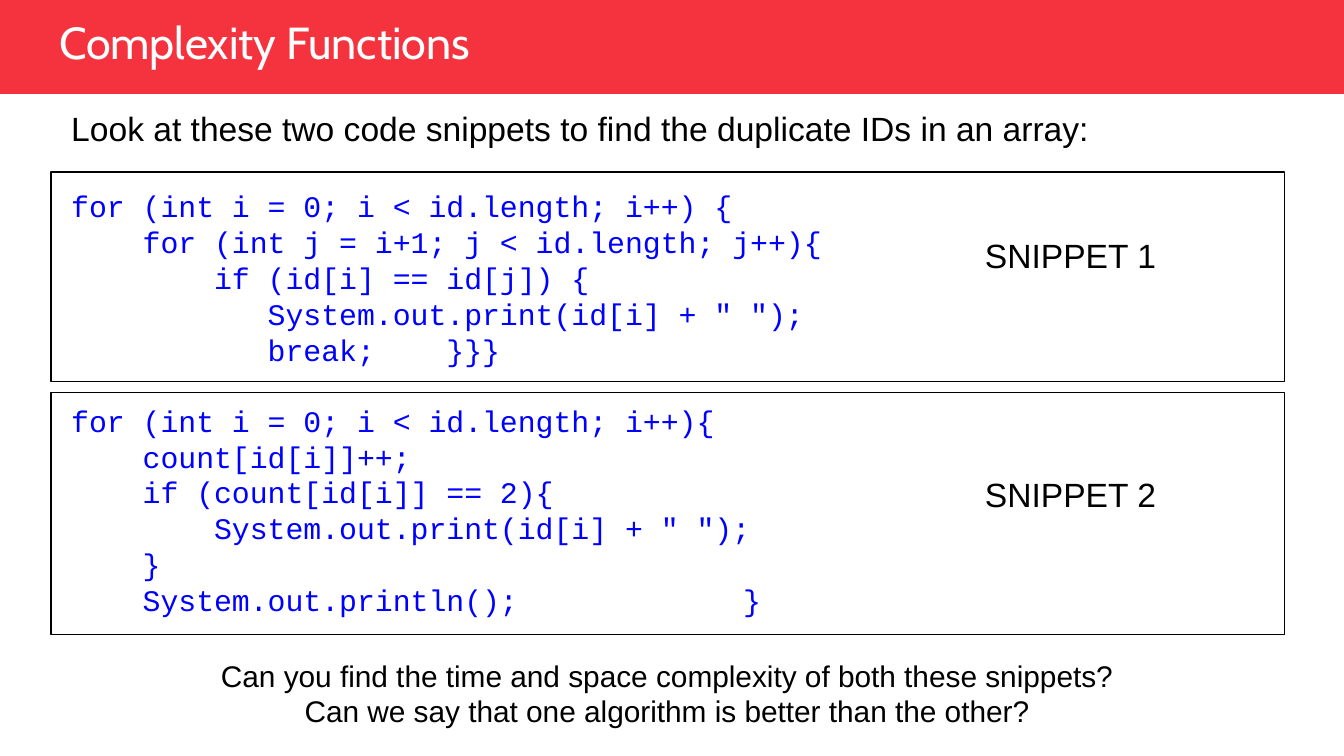
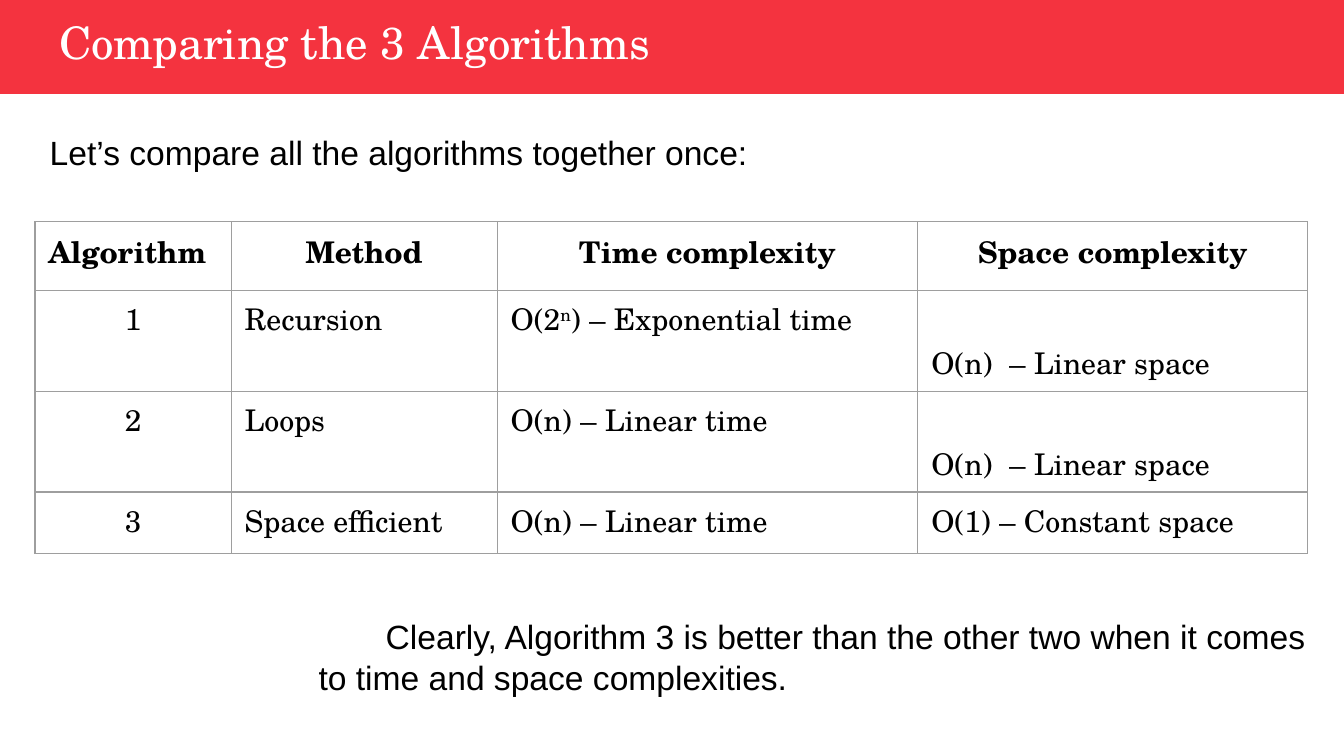
from dataclasses import dataclass
from typing import NamedTuple

from lxml import etree
from pptx import Presentation
from pptx.dml.color import RGBColor
from pptx.enum.shapes import MSO_SHAPE
from pptx.enum.text import MSO_ANCHOR, MSO_AUTO_SIZE, PP_ALIGN
from pptx.oxml.ns import qn
from pptx.util import Inches, Pt

RECT = MSO_SHAPE.RECTANGLE
TOP = MSO_ANCHOR.TOP
LEFT, CENTER, JUSTIFY = PP_ALIGN.LEFT, PP_ALIGN.CENTER, PP_ALIGN.JUSTIFY
NO_AUTOFIT = MSO_AUTO_SIZE.NONE


@dataclass(frozen=True)
class Theme:
    band: RGBColor = RGBColor(0xF4, 0x33, 0x3F)
    white: RGBColor = RGBColor(0xFF, 0xFF, 0xFF)
    black: RGBColor = RGBColor(0, 0, 0)
    code: RGBColor = RGBColor(0, 0, 0xFF)
    border: str = "9E9E9E"
    sans: str = "Arial"
    mono: str = "Courier New"
    serif: str = "TeX Gyre Schola"
    title_font: str = "Cabin"
    title_size: int = 24
    lead_size: int = 18
    body_size: int = 16
    rule: float = 0.75


THEME = Theme()


class Box(NamedTuple):
    left: float
    top: float
    width: float
    height: float

    def lengths(self) -> list:
        return [Inches(v) for v in self]


class Insets(NamedTuple):
    left: float = 0.1
    top: float = 0.1
    right: float = 0.1
    bottom: float = 0.1


class Style(NamedTuple):
    font: str
    size: int
    color: RGBColor
    bold: bool = False


class Line(NamedTuple):
    text: str
    style: Style
    before: float = 0
    align: PP_ALIGN = LEFT
    margin: float = 0
    indent: float = 0


class Snippet(NamedTuple):
    label: str
    frame: Box
    label_top: float
    before: float
    code: str


LEAD = Style(THEME.sans, THEME.lead_size, THEME.black)
CODE = Style(THEME.mono, THEME.body_size, THEME.code)
NOTE = Style(THEME.sans, THEME.body_size, THEME.black)
CELL = Style(THEME.serif, THEME.body_size, THEME.black)
HEADER = CELL._replace(bold=True)

SNIPPETS = [
    Snippet("SNIPPET 1", Box(0.38, 1.28, 9.18, 1.56), 1.65, 21.5, """\
for (int i = 0; i < id.length; i++) {
    for (int j = i+1; j < id.length; j++){
        if (id[i] == id[j]) {
           System.out.print(id[i] + " ");
           break;    }}}"""),
    Snippet("SNIPPET 2", Box(0.38, 2.92, 9.18, 1.8), 3.43, 19, """\
for (int i = 0; i < id.length; i++){
    count[id[i]]++;
    if (count[id[i]] == 2){
        System.out.print(id[i] + " ");
    }
    System.out.println();\t\t}"""),
]

COLUMNS = [1.46, 1.98, 3.13, 2.9]
ROWS = [0.51, 0.71, 0.71, 0.46]
# A caret starts and ends a superscript
ALGORITHMS = [
    ["Algorithm", "Method", "Time complexity", "Space complexity"],
    ["1", "Recursion", "O(2^n^) – Exponential time", "O(n)  – Linear space"],
    ["2", "Loops", "O(n) – Linear time", "O(n)  – Linear space"],
    ["3", "Space efficient", "O(n) – Linear time", "O(1) – Constant space"],
]


def style_runs(p, style: Style) -> None:
    for r in p.runs:
        r.font.name, r.font.size = style.font, Pt(style.size)
        r.font.bold, r.font.color.rgb = style.bold, style.color


def set_insets(target, insets: Insets) -> None:
    """Set the margins of a text frame or a table cell."""
    target.margin_left, target.margin_top = Inches(insets.left), Inches(insets.top)
    target.margin_right, target.margin_bottom = Inches(insets.right), Inches(insets.bottom)


def write_lines(tf, lines: list[Line], insets: Insets = Insets()) -> None:
    tf.word_wrap, tf.auto_size, tf.vertical_anchor = True, NO_AUTOFIT, TOP
    set_insets(tf, insets)
    tf.text = "\n".join(line.text for line in lines)
    for p, line in zip(tf.paragraphs, lines):
        p.alignment, p.space_before = line.align, Pt(line.before)
        pPr = p._p.get_or_add_pPr()
        pPr.set("marL", str(Inches(line.margin)))
        pPr.set("indent", str(Inches(line.indent)))
        pPr.set("defTabSz", str(Inches(1)))
        etree.SubElement(pPr, qn("a:buNone"))
        style_runs(p, line.style)


def place(sp, box: Box) -> None:
    sp.left, sp.top, sp.width, sp.height = box.lengths()


def add_rect(s, box: Box):
    sp = s.shapes.add_shape(RECT, *box.lengths())
    sp.shadow.inherit = False
    return sp


def add_text(s, box: Box, lines: list[Line]) -> None:
    write_lines(s.shapes.add_textbox(*box.lengths()).text_frame, lines)


def add_slide(prs, title: str, font: str, body_box: Box, body: list[Line]):
    """Slide with the red band, its title and the main text."""
    s = prs.slides.add_slide(prs.slide_layouts[1])
    place(s.placeholders[1], body_box)
    write_lines(s.placeholders[1].text_frame, body)
    band = add_rect(s, Box(0, 0, 10, 0.7))
    band.fill.solid()
    band.fill.fore_color.rgb = THEME.band
    band.line.fill.background()
    sp = s.shapes.title
    place(sp, Box(0.43, 0.1, 7.59, 0.43))
    style = Style(font, THEME.title_size, THEME.white)
    write_lines(sp.text_frame, [Line(title, style, margin=0.01)], Insets(0, 0.01, 0, 0))
    s.shapes._spTree.append(sp._element)  # in front of the band
    return s


def add_snippets(prs) -> None:
    body = [Line("Look at these two code snippets to find the duplicate IDs in an array:",
                 LEAD, align=JUSTIFY)]
    for snippet in SNIPPETS:
        for i, text in enumerate(snippet.code.split("\n")):
            body.append(Line(text, CODE, 0 if i else snippet.before, JUSTIFY))
    s = add_slide(prs, "Complexity Functions", THEME.title_font,
                  Box(0.43, 0.7, 7.84, 3.82), body)
    for snippet in SNIPPETS:
        frame = add_rect(s, snippet.frame)
        frame.fill.background()
        frame.line.color.rgb, frame.line.width = THEME.black, Pt(THEME.rule)
        add_text(s, Box(7.23, snippet.label_top, 1.91, 0.43), [Line(snippet.label, LEAD)])
    add_text(s, Box(0.4, 4.79, 9.13, 0.43), [
        Line("Can you find the time and space complexity of both these snippets?",
             NOTE, align=CENTER),
        Line("Can we say that one algorithm is better than the other?", NOTE, align=CENTER),
    ])


def set_borders(cell) -> None:
    tcPr = cell._tc.get_or_add_tcPr()
    for i, side in enumerate(("lnL", "lnR", "lnT", "lnB")):
        ln = etree.Element(qn(f"a:{side}"), w=str(Pt(THEME.rule)))
        fill = etree.SubElement(ln, qn("a:solidFill"))
        etree.SubElement(fill, qn("a:srgbClr"), val=THEME.border)
        tcPr.insert(i, ln)


def fill_cell(cell, text: str, row: int, col: int) -> None:
    cell.fill.background()
    set_insets(cell, Insets(top=0.05, bottom=0.05))
    set_borders(cell)
    p = cell.text_frame.paragraphs[0]
    for i, part in enumerate(text.split("^")):
        r = p.add_run()
        r.text = part
        if i % 2:
            r.font._element.set("baseline", "30000")
    style_runs(p, CELL if row else HEADER)
    centered = col > 0 if row == 0 else col == 0
    p.alignment = CENTER if centered else LEFT
    if col == 3 and row in (1, 2):
        p.line_spacing = 2.0


def add_comparison(prs) -> None:
    s = add_slide(prs, "Comparing the 3 Algorithms", THEME.serif, Box(0.27, 0.88, 9.62, 4.2), [
        Line("Let’s compare all the algorithms together once:", LEAD),
        Line("Clearly, Algorithm 3 is better than the other two when it comes "
             "to time and space complexities.", LEAD, before=238, margin=2, indent=0.5),
    ])
    box = Box(0.26, 1.65, sum(COLUMNS), sum(ROWS))
    table = s.shapes.add_table(len(ROWS), len(COLUMNS), *box.lengths()).table
    table.first_row = table.horz_banding = False
    for column, width in zip(table.columns, COLUMNS):
        column.width = Inches(width)
    for row, height in enumerate(ROWS):
        table.rows[row].height = Inches(height)
        for col, text in enumerate(ALGORITHMS[row]):
            fill_cell(table.cell(row, col), text, row, col)


def main() -> None:
    prs = Presentation()
    prs.slide_width, prs.slide_height = Inches(10), Inches(10 * 9 / 16)
    add_snippets(prs)
    add_comparison(prs)
    prs.save("out.pptx")


if __name__ == "__main__":
    main()
